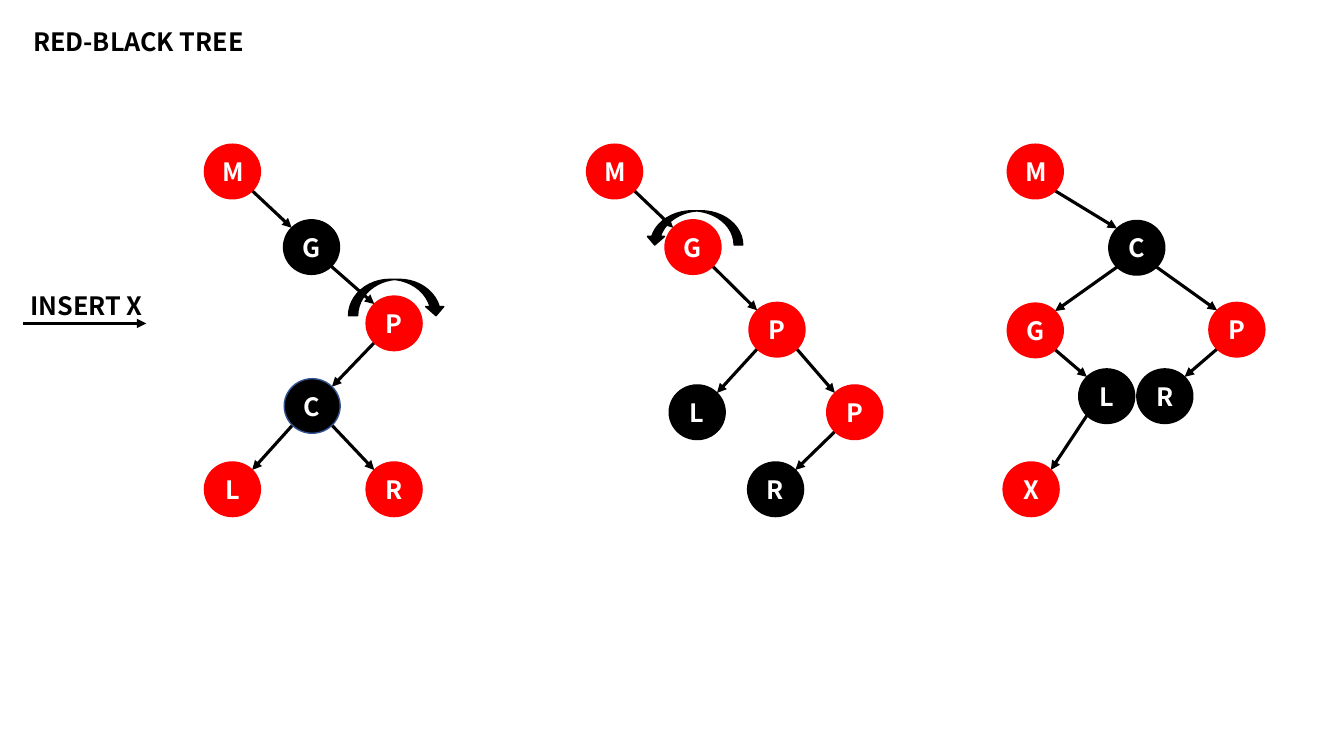
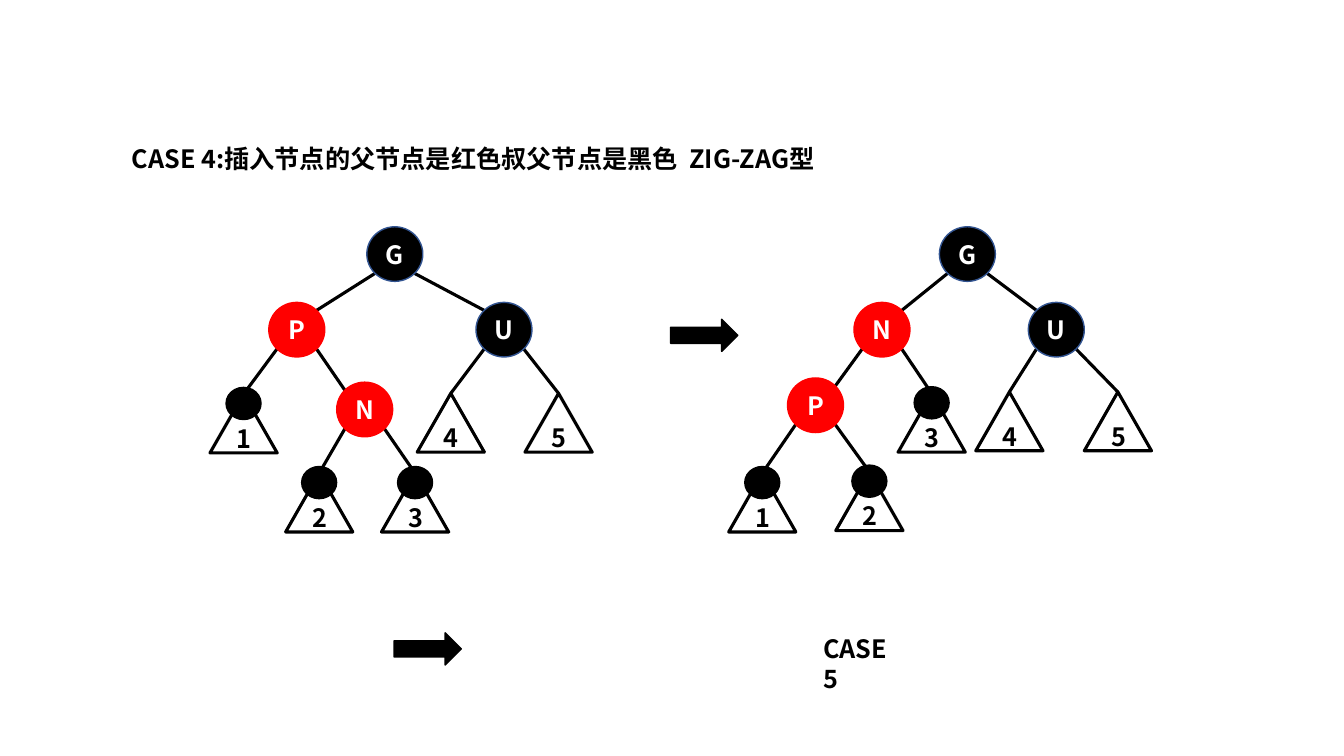
from math import sqrt

from lxml.etree import SubElement
from pptx import Presentation
from pptx.dml.color import RGBColor
from pptx.enum.shapes import MSO_CONNECTOR, MSO_SHAPE
from pptx.enum.text import MSO_ANCHOR, MSO_AUTO_SIZE, PP_ALIGN
from pptx.oxml.ns import qn
from pptx.util import Pt

BLACK = RGBColor(0x00, 0x00, 0x00)
WHITE = RGBColor(0xFF, 0xFF, 0xFF)
RED = RGBColor(0xFF, 0x00, 0x00)
NAVY = RGBColor(0x32, 0x54, 0x91)
FONT = "Noto Sans CJK SC"

NODE_W, NODE_H = 40, 39
SUBTREE_W, SUBTREE_H = 48, 42
ROOT_W, ROOT_H, ROOT_RISE = 25, 23, 4.8
EDGE_WIDTH = 2.25

# Keys start with the label that is shown; the rest tells the trees apart.
# Nodes and subtrees: key -> (left, top), with the fill and outline for nodes.
rotation = {
    "nodes": {
        "M1": (146, 103, RED, RED),
        "G1": (202.5, 157, BLACK, BLACK),
        "P1": (261.5, 211.5, RED, RED),
        "C1": (203, 270.5, BLACK, NAVY),
        "L1": (146, 330, RED, RED),
        "R1": (261.5, 330, RED, RED),
        "M2": (419, 103, RED, RED),
        "G2": (475, 157, RED, RED),
        "P2": (535, 216, RED, RED),
        "L2": (478, 275, BLACK, BLACK),
        "P2-right": (590.5, 275, RED, RED),
        "R2": (534, 330, BLACK, BLACK),
        "M3": (719.5, 103, RED, RED),
        "C3": (792, 157.5, BLACK, BLACK),
        "G3": (719.5, 216.5, RED, RED),
        "P3": (863.5, 216, RED, RED),
        "L3": (770.5, 263.5, BLACK, BLACK),
        "R3": (812, 263.5, BLACK, BLACK),
        "X3": (716.5, 330, RED, RED),
    },
    "subtrees": {},
    "children": {
        "M1": ["G1"], "G1": ["P1"], "P1": ["C1"], "C1": ["L1", "R1"],
        "M2": ["G2"], "G2": ["P2"], "P2": ["L2", "P2-right"], "P2-right": ["R2"],
        "M3": ["C3"], "C3": ["G3", "P3"], "G3": ["L3"], "P3": ["R3"], "L3": ["X3"],
    },
    "directed": True,
    "extra_lines": [(16.5, 231, 104.5, 231)],
    "block_arrows": [
        (MSO_SHAPE.CURVED_DOWN_ARROW, 249, 199.5, 69, 26, 0),
        (MSO_SHAPE.CURVED_UP_ARROW, 461.5, 150.5, 69, 24.5, 180),
    ],
    "captions": [
        ("RED-BLACK TREE", 16.5, 15, 176.5),
        ("INSERT X", 14.5, 204, 101),
    ],
}

zig_zag = {
    "nodes": {
        "G1": (262, 162, BLACK, NAVY),
        "P1": (192, 216, RED, RED),
        "U1": (340, 216, BLACK, NAVY),
        "N1": (240.5, 273, RED, RED),
        "G2": (671, 162, BLACK, NAVY),
        "N2": (610, 216, RED, RED),
        "U2": (734.5, 216, BLACK, NAVY),
        "P2": (562.5, 270, RED, RED),
    },
    "subtrees": {
        "1-left": (150, 281.5),
        "2-left": (204, 338),
        "3-left": (272.5, 338),
        "4-left": (298, 281),
        "5-left": (375, 281),
        "1-right": (520.5, 338),
        "2-right": (597, 337),
        "3-right": (641.5, 281),
        "4-right": (697, 280),
        "5-right": (774.5, 280),
    },
    "children": {
        "G1": ["P1", "U1"], "P1": ["1-left", "N1"], "N1": ["2-left", "3-left"],
        "U1": ["4-left", "5-left"],
        "G2": ["N2", "U2"], "N2": ["P2", "3-right"], "P2": ["1-right", "2-right"],
        "U2": ["4-right", "5-right"],
    },
    "directed": False,
    "extra_lines": [],
    "block_arrows": [
        (MSO_SHAPE.RIGHT_ARROW, 479, 228, 48, 23, 0),
        (MSO_SHAPE.RIGHT_ARROW, 281.5, 452, 48, 23, 0),
    ],
    "captions": [
        ("CASE 4:插入节点的父节点是红色叔父节点是黑色  ZIG-ZAG型", 87, 98.5, 509),
        ("CASE 5", 581, 448.5, 74),
    ],
}


def write(frame, text, color):
    run = frame.paragraphs[0].add_run()
    run.text = text
    run.font.size = Pt(18)
    run.font.bold = True
    run.font.name = FONT
    run.font.color.rgb = color
    SubElement(run.font._element, qn("a:ea"), typeface=FONT)


def draw(slide, kind, box, fill, outline, line_width=1, label="", label_color=BLACK):
    """Add a flat preset shape with an optional centred label; no fill if None."""
    shape = slide.shapes.add_shape(kind, *[Pt(length) for length in box])
    shape.shadow.inherit = False
    if fill is None:
        shape.fill.background()
    else:
        shape.fill.solid()
        shape.fill.fore_color.rgb = fill
    shape.line.color.rgb = outline
    shape.line.width = Pt(line_width)
    if label:
        shape.text_frame.vertical_anchor = MSO_ANCHOR.MIDDLE
        shape.text_frame.paragraphs[0].alignment = PP_ALIGN.CENTER
        write(shape.text_frame, label, label_color)
    return shape


prs = Presentation()
prs.slide_width, prs.slide_height = Pt(960), Pt(540)

for content in (rotation, zig_zag):
    slide = prs.slides.add_slide(prs.slide_layouts[6])
    nodes, subtrees = content["nodes"], content["subtrees"]

    # Edges run between the diagonal points of the circles, or to a subtree's apex
    reach_x, reach_y = NODE_W / 2 / sqrt(2), NODE_H / 2 / sqrt(2)
    lines = list(content["extra_lines"])
    for parent, children in content["children"].items():
        parent_x = nodes[parent][0] + NODE_W / 2
        parent_y = nodes[parent][1] + NODE_H / 2
        for child in children:
            if child in subtrees:
                end_x = subtrees[child][0] + SUBTREE_W / 2
                end_y = subtrees[child][1]
                side = 1 if end_x > parent_x else -1
            else:
                child_x = nodes[child][0] + NODE_W / 2
                side = 1 if child_x > parent_x else -1
                end_x = child_x - side * reach_x
                end_y = nodes[child][1] + NODE_H / 2 - reach_y
            lines.append((parent_x + side * reach_x, parent_y + reach_y, end_x, end_y))

    for ends in lines:
        edge = slide.shapes.add_connector(
            MSO_CONNECTOR.STRAIGHT, *[Pt(length) for length in ends])
        edge.line.color.rgb = BLACK
        edge.line.width = Pt(EDGE_WIDTH)
        if content["directed"]:
            SubElement(edge.line._get_or_add_ln(), qn("a:tailEnd"), type="triangle")
        SubElement(edge._element.spPr, qn("a:effectLst"))

    for key, (left, top, fill, outline) in nodes.items():
        draw(slide, MSO_SHAPE.OVAL, (left, top, NODE_W, NODE_H), fill, outline,
             label=key[0], label_color=WHITE)

    for key, (left, top) in subtrees.items():
        if key[0] in "123":
            root_left = left + (SUBTREE_W - ROOT_W) / 2
            draw(slide, MSO_SHAPE.OVAL, (root_left, top - ROOT_RISE, ROOT_W, ROOT_H),
                 BLACK, BLACK)
        draw(slide, MSO_SHAPE.ISOSCELES_TRIANGLE, (left, top, SUBTREE_W, SUBTREE_H),
             None, BLACK, EDGE_WIDTH, key[0])

    for kind, left, top, width, height, angle in content["block_arrows"]:
        draw(slide, kind, (left, top, width, height), BLACK, BLACK).rotation = angle

    for text, left, top, width in content["captions"]:
        caption = slide.shapes.add_textbox(Pt(left), Pt(top), Pt(width), Pt(29))
        caption.text_frame.word_wrap = True
        caption.text_frame.auto_size = MSO_AUTO_SIZE.SHAPE_TO_FIT_TEXT
        write(caption.text_frame, text, BLACK)

prs.save("out.pptx")
